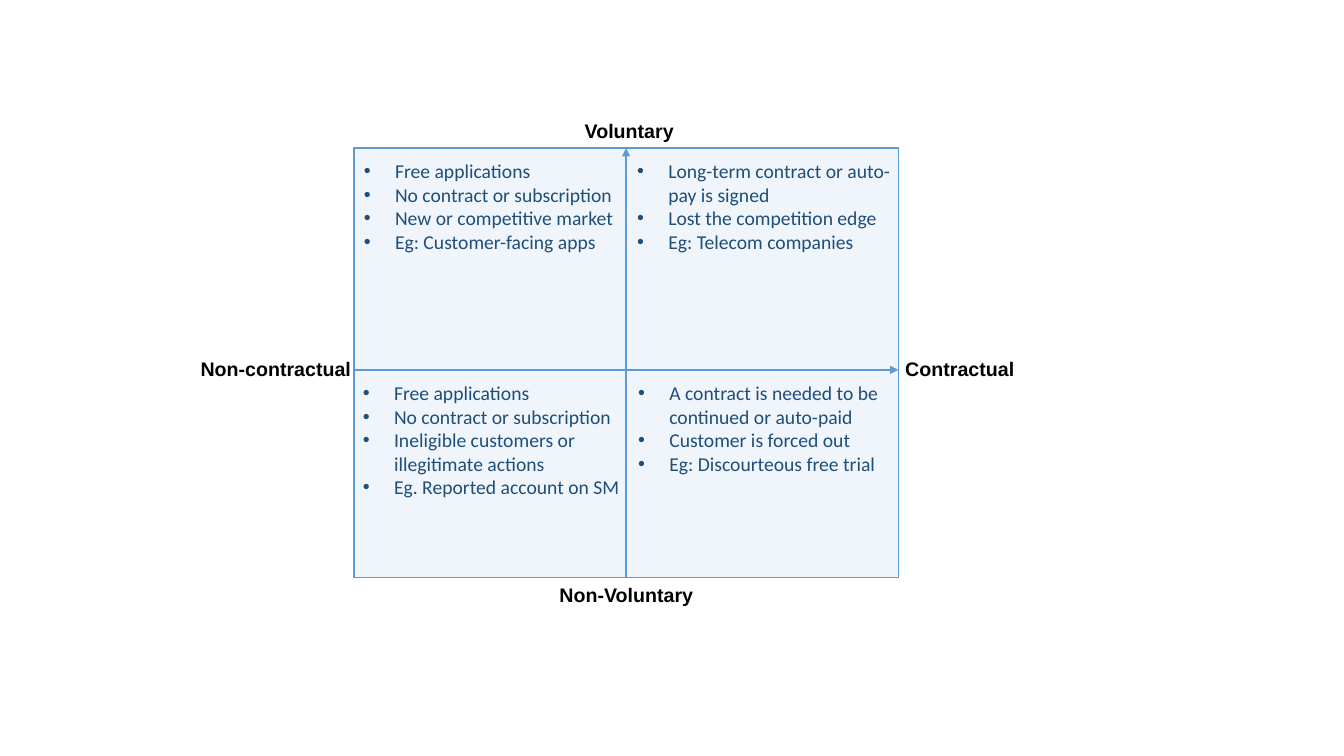
from dataclasses import dataclass

from lxml.etree import SubElement
from pptx import Presentation
from pptx.dml.color import RGBColor as Rgb
from pptx.enum.shapes import MSO_CONNECTOR as Connector, MSO_SHAPE as Preset
from pptx.enum.text import MSO_AUTO_SIZE as AutoSize
from pptx.oxml.ns import qn
from pptx.util import Inches, Pt

COLORS = {"panel": "DEEBF7", "axis": "5B9BD5", "label": "000000", "body": "1F4E79"}
LABEL_FORMAT = {"name": "Arial", "size": Pt(14), "bold": True}
BODY_FORMAT = {"name": "Calibri", "size": Pt(14), "bold": False}
LEFT, TOP, WIDTH, HEIGHT = 3.51, 1.47, 5.4, 4.26
AXIS_Y = 3.67
INDENT = 0.31


@dataclass
class Label:
    text: str
    left: float
    top: float


@dataclass
class Quadrant:
    left: float
    top: float
    width: float
    height: float
    points: tuple[str, ...]


LABELS = [
    Label("Contractual", 8.88, 3.49),
    Label("Non-contractual", 1.89, 3.49),
    Label("Voluntary", 5.7, 1.13),
    Label("Non-Voluntary", 5.45, 5.73),
]
QUADRANTS = [
    Quadrant(3.51, 1.53, 2.76, 1.04, (
        "Free applications", "No contract or subscription",
        "New or competitive market", "Eg: Customer-facing apps")),
    Quadrant(6.22, 1.53, 2.76, 1.04, (
        "Long-term contract or auto-pay is signed",
        "Lost the competition edge", "Eg: Telecom companies")),
    Quadrant(3.5, 3.73, 2.76, 1.28, (
        "Free applications", "No contract or subscription",
        "Ineligible customers or illegitimate actions",
        "Eg. Reported account on SM")),
    Quadrant(6.23, 3.73, 3.21, 1.04, (
        "A contract is needed to be continued or auto-paid",
        "Customer is forced out", "Eg: Discourteous free trial")),
]


def add_panel(page):
    panel = page.shapes.add_shape(
        Preset.RECTANGLE, Inches(LEFT), Inches(TOP), Inches(WIDTH), Inches(HEIGHT))
    panel.shadow.inherit = False
    panel.fill.solid()
    panel.fill.fore_color.rgb = Rgb.from_string(COLORS["panel"])
    tint = next(panel.fill._xPr.iter(qn("a:srgbClr")))
    SubElement(tint, qn("a:alpha"), val="47000")
    panel.line.color.rgb = Rgb.from_string(COLORS["axis"])
    panel.line.width = Pt(1)
    return panel


def add_axis(page, start: tuple[float, float], end: tuple[float, float]):
    axis = page.shapes.add_connector(
        Connector.STRAIGHT, *(Inches(value) for value in start + end))
    axis.line.color.rgb = Rgb.from_string(COLORS["axis"])
    axis.line.width = Pt(1.5)
    SubElement(axis.line._get_or_add_ln(), qn("a:tailEnd"), type="triangle")
    SubElement(axis._element.spPr, qn("a:effectLst"))
    return axis


def add_box(page, left: float, top: float, width: float, height: float):
    box = page.shapes.add_textbox(
        Inches(left), Inches(top), Inches(width), Inches(height))
    box.text_frame.word_wrap = True
    box.text_frame.auto_size = AutoSize.SHAPE_TO_FIT_TEXT
    return box.text_frame


def write(para, text: str, color: str, formats: dict) -> None:
    span = para.add_run()
    span.text = text
    span.font.color.rgb = Rgb.from_string(COLORS[color])
    for name, value in formats.items():
        setattr(span.font, name, value)


def add_label(page, label: Label) -> None:
    frame = add_box(page, label.left, label.top, 1.88, 0.34)
    write(frame.paragraphs[0], label.text, "label", LABEL_FORMAT)


def add_quadrant(page, quadrant: Quadrant) -> None:
    frame = add_box(page, quadrant.left, quadrant.top, quadrant.width, quadrant.height)
    for index, point in enumerate(quadrant.points):
        para = frame.add_paragraph() if index else frame.paragraphs[0]
        properties = para._p.get_or_add_pPr()
        properties.set("marL", str(Inches(INDENT)))
        properties.set("indent", str(-Inches(INDENT)))
        SubElement(properties, qn("a:buFont"), typeface="Arial")
        SubElement(properties, qn("a:buChar"), char="•")
        write(para, point, "body", BODY_FORMAT)


def main() -> None:
    """Build the churn matrix slide and save it."""
    deck = Presentation()
    deck.slide_width, deck.slide_height = Inches(13.33), Inches(7.5)
    page = deck.slides.add_slide(deck.slide_layouts[6])
    panel = add_panel(page)
    add_axis(page, (LEFT, AXIS_Y), (LEFT + WIDTH, AXIS_Y))
    middle = LEFT + WIDTH / 2
    upright = add_axis(page, (middle, TOP + HEIGHT), (middle, TOP))
    upright.begin_connect(panel, 2)
    upright.end_connect(panel, 0)
    for label in LABELS:
        add_label(page, label)
    for quadrant in QUADRANTS:
        add_quadrant(page, quadrant)
    deck.save("out.pptx")


if __name__ == "__main__":
    main()
